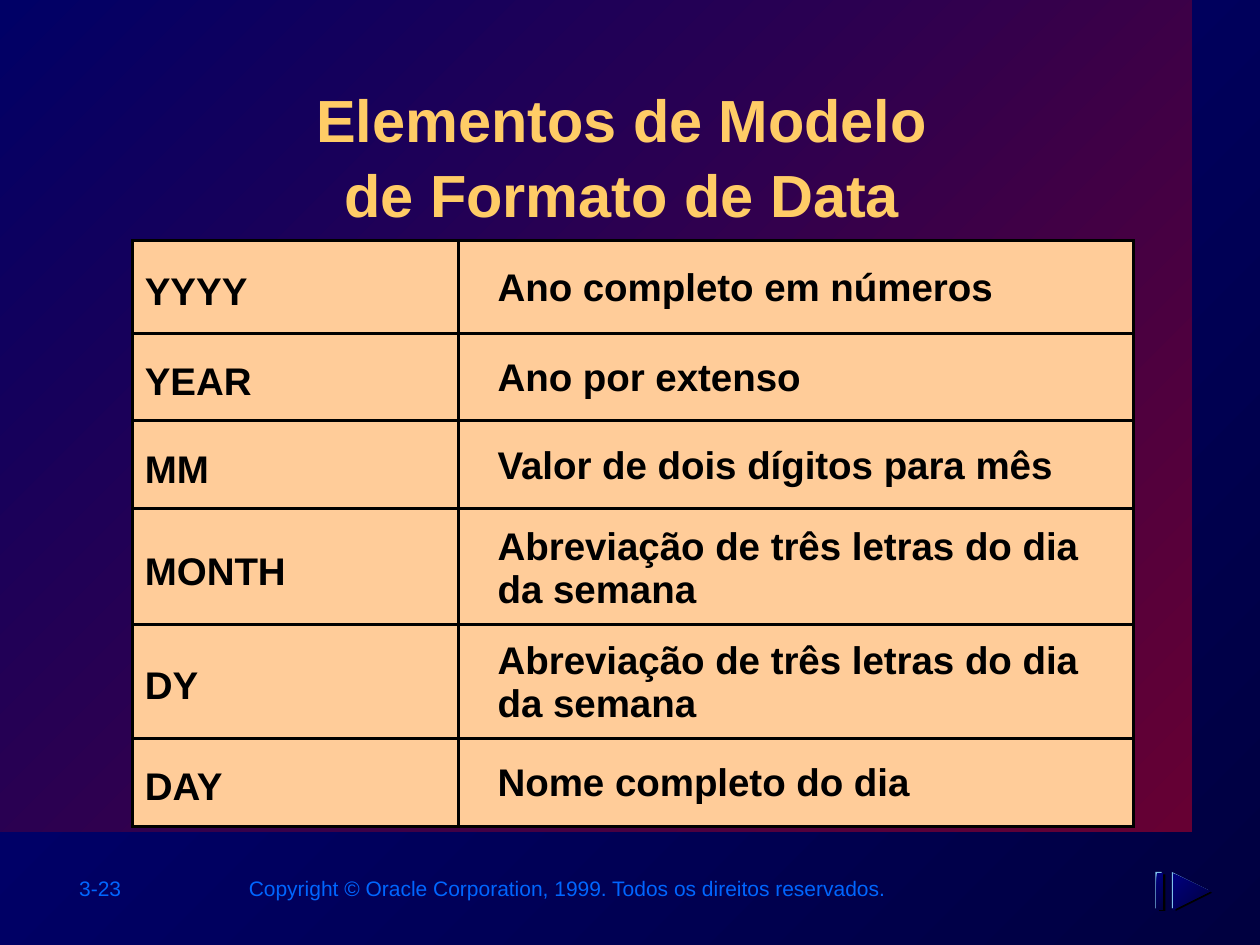
from lxml import etree
from pptx import Presentation
from pptx.dml.color import RGBColor
from pptx.enum.shapes import MSO_SHAPE
from pptx.enum.text import MSO_ANCHOR, PP_ALIGN
from pptx.oxml import parse_xml
from pptx.oxml.ns import nsdecls, qn
from pptx.util import Inches, Pt

RECT = MSO_SHAPE.RECTANGLE
TOP, MIDDLE = MSO_ANCHOR.TOP, MSO_ANCHOR.MIDDLE
LEFT, CENTER, RIGHT = PP_ALIGN.LEFT, PP_ALIGN.CENTER, PP_ALIGN.RIGHT

NAVY = RGBColor(0x00, 0x00, 0x80)
NIGHT = RGBColor(0x00, 0x00, 0x40)
BLUE = RGBColor(0x00, 0x00, 0x66)
WINE = RGBColor(0x66, 0x00, 0x33)
GOLD = RGBColor(0xFF, 0xCC, 0x66)
PEACH = RGBColor(0xFF, 0xCC, 0x99)
LINK = RGBColor(0x00, 0x66, 0xFF)
SKY = RGBColor(0x7F, 0xC1, 0xEB)
BLACK = RGBColor(0x00, 0x00, 0x00)

ROWS = [
    ("YYYY", "Ano completo em números"),
    ("YEAR", "Ano por extenso"),
    ("MM", "Valor de dois dígitos para mês"),
    ("MONTH", "Abreviação de três letras do dia da semana"),
    ("DY", "Abreviação de três letras do dia da semana"),
    ("DAY", "Nome completo do dia"),
]
COLS = [2.59, 5.36]
HEIGHTS = [0.74, 0.69, 0.7, 0.92, 0.9, 0.7]
# Left, top and bottom cell margins of each column
INSETS = [(0.1, 0.12, 0.04), (0.31, 0.05, 0.03)]


def paint(fill, *colors):
    """Solid fill for one colour, diagonal gradient for two."""
    if len(colors) == 1:
        fill.solid()
        fill.fore_color.rgb = colors[0]
        return
    fill.gradient()
    fill.gradient_angle = 315
    for stop, color, place in zip(fill.gradient_stops, colors, (0, 1)):
        stop.color.rgb = color
        stop.position = place


def finish(shape, *colors):
    shape.shadow.inherit = False
    shape.line.fill.background()
    paint(shape.fill, *colors)


def add_box(slide, x, y, w, h, *colors):
    box = slide.shapes.add_shape(RECT, Inches(x), Inches(y), Inches(w), Inches(h))
    finish(box, *colors)


def style(para, size, color, bold=False, align=LEFT):
    para.alignment = align
    font = para.font
    font.name, font.size, font.bold = "Arial", Pt(size), bold
    font.color.rgb = color


def add_text(slide, x, y, w, h, text, *look):
    box = slide.shapes.add_textbox(Inches(x), Inches(y), Inches(w), Inches(h))
    frame = box.text_frame
    frame.word_wrap = True
    frame.vertical_anchor = TOP
    frame.text = text
    style(frame.paragraphs[0], *look)
    return frame


def add_title(slide):
    frame = add_text(slide, 1.01, 0.56, 7.98, 0.96,
                     "Elementos de Modelo \vde Formato de Data ",
                     34, GOLD, True, CENTER)
    frame.margin_top = Inches(0.08)
    para = frame.paragraphs[0]
    para.line_spacing = 1.04
    for run in para.runs:
        run._r.get_or_add_rPr().append(parse_xml(
            f'<a:effectLst {nsdecls("a")}><a:outerShdw dist="38100" dir="2700000">'
            '<a:srgbClr val="000000"/></a:outerShdw></a:effectLst>'))


def add_borders(cell):
    props = cell._tc.get_or_add_tcPr()
    for spot, side in enumerate(("lnL", "lnR", "lnT", "lnB")):
        line = etree.Element(qn(f"a:{side}"), w=str(Pt(2)))
        fill = etree.SubElement(line, qn("a:solidFill"))
        etree.SubElement(fill, qn("a:srgbClr"), val=str(BLACK))
        props.insert(spot, line)


def add_grid(slide):
    table = slide.shapes.add_table(
        len(ROWS), len(COLS), Inches(1.05), Inches(1.91),
        Inches(sum(COLS)), Inches(sum(HEIGHTS))).table
    table.first_row = table.horz_banding = False
    for col, width in zip(table.columns, COLS):
        col.width = Inches(width)
    for row, height, texts in zip(table.rows, HEIGHTS, ROWS):
        row.height = Inches(height)
        for cell, text, (left, top, low) in zip(row.cells, texts, INSETS):
            cell.text = text
            cell.margin_left = Inches(left)
            cell.margin_top, cell.margin_bottom = Inches(top), Inches(low)
            cell.vertical_anchor = MIDDLE
            paint(cell.fill, PEACH)
            style(cell.text_frame.paragraphs[0], 22, BLACK, True)
            add_borders(cell)


def add_arrow(slide, x, y, size, *colors):
    corners = [(x + size, y + size / 2), (x, y), (x, y + size)]
    start, *rest = [(Inches(a), Inches(b)) for a, b in corners]
    path = slide.shapes.build_freeform(*start)
    path.add_line_segments(rest, close=True)
    finish(path.convert_to_shape(), *colors)


def add_icon(slide):
    """Embossed bar and arrow: shade, light, then face."""
    layers = [(0.03, 0.02, (BLACK,)), (0, 0, (SKY,)), (0.01, 0.01, (NAVY, NIGHT))]
    for dx, dy, colors in layers:
        add_box(slide, 9.17 + dx, 6.92 + dy, 0.05, 0.29, *colors)
    for dx, dy, colors in layers:
        add_arrow(slide, 9.3 + dx, 6.92 + dy, 0.29, *colors)


def main():
    deck = Presentation()
    deck.slide_width, deck.slide_height = Inches(10), Inches(7.5)
    slide = deck.slides.add_slide(deck.slide_layouts[6])

    # Backdrop
    paint(slide.background.fill, NAVY, NIGHT)
    add_box(slide, 0, 0, 9.46, 6.6, BLUE, WINE)

    # Footer
    add_text(slide, 0.53, 6.9, 1.11, 0.3, "3-23", 12, LINK)
    add_text(slide, 1.84, 6.9, 5.29, 0.3,
             "Copyright © Oracle Corporation, 1999. Todos os direitos reservados.",
             12, LINK, False, RIGHT)

    # Content
    add_title(slide)
    add_grid(slide)
    add_icon(slide)
    deck.save("out.pptx")


if __name__ == "__main__":
    main()
